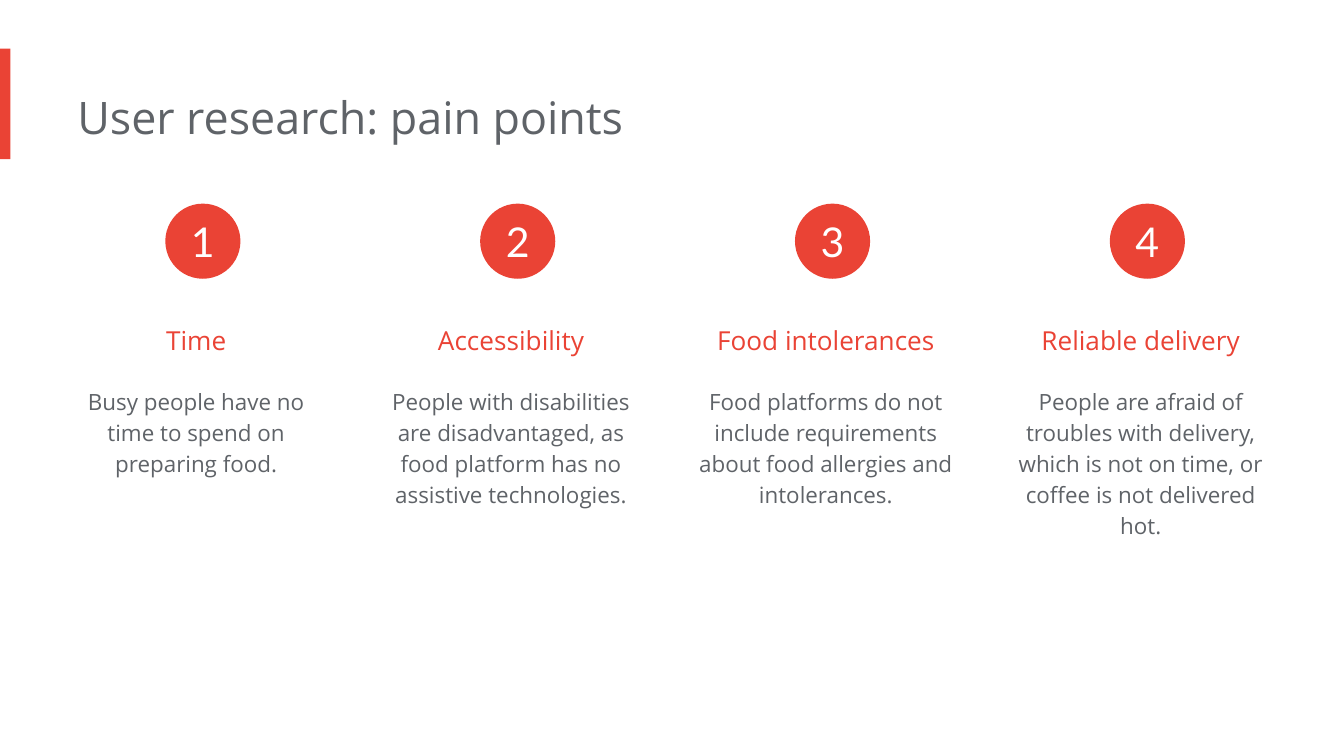
from dataclasses import dataclass

from pptx import Presentation
from pptx import util as u
from pptx.dml.color import RGBColor
from pptx.enum import shapes, text


@dataclass(frozen=True)
class Theme:
    accent: str = "EA4335"
    ink: str = "5F6368"
    paper: str = "FFFFFF"
    text_font: str = "Open Sans"
    number_font: str = "Lato"
    title_size: int = 24
    number_size: int = 22
    heading_size: int = 14
    detail_size: int = 12


class SlideBuilder:
    """Holds the theme and the current slide."""

    def __init__(self, theme, slide):
        self.theme = theme
        self.slide = slide

    def fill_text(self, frame, words, size, color, font=None, spacing=1.0,
                  align=text.PP_ALIGN.CENTER, **frame_format):
        frame.text = words
        frame_values = {
            "word_wrap": True,
            "auto_size": text.MSO_AUTO_SIZE.SHAPE_TO_FIT_TEXT,
            "vertical_anchor": text.MSO_ANCHOR.TOP,
            "margin_left": 0,
            "margin_top": u.Cm(0.25),
            "margin_right": u.Cm(0.25),
            "margin_bottom": u.Cm(0.25),
            **frame_format,
        }
        for key, value in frame_values.items():
            setattr(frame, key, value)

        paragraph = frame.paragraphs[0]
        for key, value in {"alignment": align, "line_spacing": spacing}.items():
            setattr(paragraph, key, value)

        run_font = paragraph.runs[0].font
        font_values = {"size": u.Pt(size), "name": font or self.theme.text_font}
        for key, value in font_values.items():
            setattr(run_font, key, value)
        run_font.color.rgb = RGBColor.from_string(color)

    def title(self, words, **place):
        title = self.slide.shapes.title
        for key, value in place.items():
            setattr(title, key, u.Cm(value))
        self.fill_text(title.text_frame, words, self.theme.title_size,
                       self.theme.ink, align=text.PP_ALIGN.LEFT)

    def text_box(self, words, left, top, width, height, **style):
        box = self.slide.shapes.add_textbox(
            *map(u.Cm, (left, top, width, height)))
        self.fill_text(box.text_frame, words, **style)

    def accent_shape(self, kind, left, top, width, height):
        shape = self.slide.shapes.add_shape(
            kind, *map(u.Cm, (left, top, width, height)))
        shape.shadow.inherit = False
        shape.fill.solid()
        shape.fill.fore_color.rgb = RGBColor.from_string(self.theme.accent)
        shape.line.fill.background()
        return shape

    def number_badge(self, number, left, top, size):
        badge = self.accent_shape(shapes.MSO_SHAPE.OVAL, left, top, size, size)
        self.fill_text(badge.text_frame, str(number), self.theme.number_size,
                       self.theme.paper, font=self.theme.number_font,
                       auto_size=text.MSO_AUTO_SIZE.NONE,
                       vertical_anchor=text.MSO_ANCHOR.MIDDLE,
                       margin_top=0, margin_right=0, margin_bottom=0)


PAIN_POINTS = [
    ("Time", "Busy people have no time to spend on preparing food."),
    ("Accessibility", "People with disabilities are disadvantaged, as food "
                      "platform has no assistive technologies."),
    ("Food intolerances", "Food platforms do not include requirements about "
                          "food allergies and intolerances."),
    ("Reliable delivery", "People are afraid of troubles with delivery, which "
                          "is not on time, or coffee is not delivered hot."),
]

# Column grid, in centimetres
FIRST_COLUMN = 1.23
COLUMN_STEP = 5.95
COLUMN_WIDTH = 5.21
BADGE_SIZE = 1.42


def main():
    deck = Presentation()
    deck.slide_width, deck.slide_height = u.Cm(25.4), u.Cm(14.29)
    theme = Theme()
    title_only = deck.slide_layouts[5]
    builder = SlideBuilder(theme, deck.slides.add_slide(title_only))

    # Title with its accent bar
    builder.accent_shape(shapes.MSO_SHAPE.RECTANGLE, 0, 0.92, 0.2, 2.09)
    builder.title("User research: pain points",
                  left=1.46, top=1.45, width=17.1, height=1.55)

    # One column per pain point: badge, heading, detail
    for column, (heading, detail) in enumerate(PAIN_POINTS):
        left = FIRST_COLUMN + column * COLUMN_STEP
        badge_left = left + (COLUMN_WIDTH - BADGE_SIZE) / 2
        builder.number_badge(column + 1, badge_left, 3.85, BADGE_SIZE)
        builder.text_box(heading, left, 5.59, COLUMN_WIDTH, 1.12,
                         size=theme.heading_size, color=theme.accent,
                         spacing=1.5)
        builder.text_box(detail, left, 7.01, COLUMN_WIDTH, 2.8,
                         size=theme.detail_size, color=theme.ink, spacing=1.15)

    deck.save("out.pptx")


if __name__ == "__main__":
    main()
